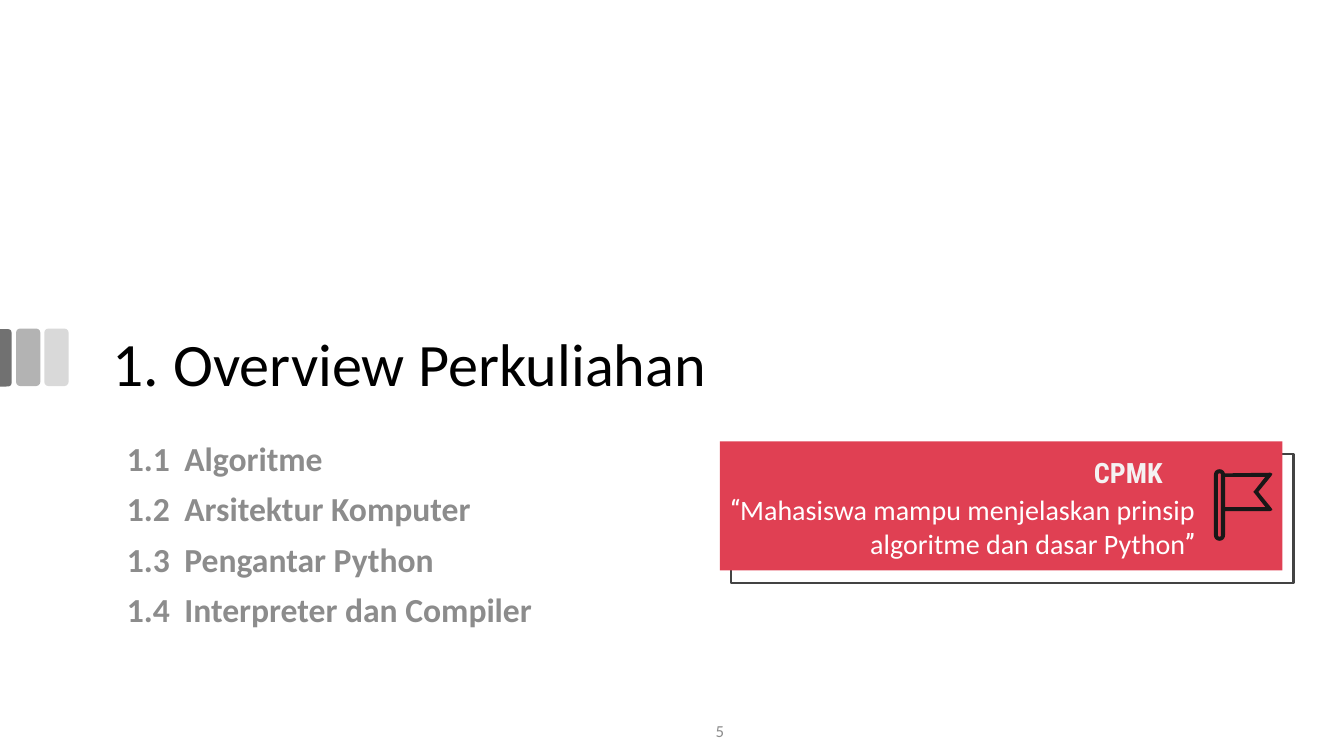
from dataclasses import dataclass
from math import cos, radians, sin

from lxml.etree import SubElement
from pptx import Presentation
from pptx.dml.color import RGBColor
from pptx.enum.shapes import MSO_SHAPE
from pptx.enum.text import MSO_ANCHOR, PP_ALIGN
from pptx.oxml.ns import qn
from pptx.shapes.autoshape import Shape
from pptx.slide import Slide
from pptx.text.text import TextFrame, _Paragraph as Paragraph
from pptx.util import Inches, Pt

BLACK = RGBColor(0x00, 0x00, 0x00)
WHITE = RGBColor(0xFF, 0xFF, 0xFF)
OFF_WHITE = RGBColor(0xF4, 0xF2, 0xF2)
GRAY = RGBColor(0x8C, 0x8C, 0x8C)
OUTLINE = RGBColor(0x43, 0x43, 0x43)
RED = RGBColor(0xE0, 0x40, 0x53)
INK = RGBColor(0x18, 0x17, 0x17)
BAR_LIGHT = RGBColor(0xD9, 0xD9, 0xD9)
BAR_MIDDLE = RGBColor(0xB3, 0xB3, 0xB3)
BAR_DARK = RGBColor(0x71, 0x71, 0x71)
BODY_FONT = "Calibri"
ACCENT_FONT = "Roboto Condensed"

Point = tuple[float, float]


@dataclass
class Box:
    left: float
    top: float
    width: float
    height: float

    def lengths(self) -> list[int]:
        return [Inches(value) for value in (self.left, self.top, self.width, self.height)]


@dataclass
class Block:
    box: Box
    kind: MSO_SHAPE = MSO_SHAPE.RECTANGLE
    fill: RGBColor | None = None
    line: RGBColor | None = None
    adjustments: tuple[float, ...] = ()
    rotation: float = 0


BARS = [
    Block(Box(0.44, 3.26, 0.24, 0.57), MSO_SHAPE.ROUNDED_RECTANGLE, BAR_LIGHT, None, (0.167,)),
    Block(Box(0.16, 3.26, 0.24, 0.57), MSO_SHAPE.ROUNDED_RECTANGLE, BAR_MIDDLE, None, (0.167,)),
    Block(Box(-0.23, 3.49, 0.57, 0.12), MSO_SHAPE.ROUND_2_SAME_RECTANGLE, BAR_DARK, None,
          (0.292, 0), 90),
]
CARD = [
    Block(Box(7.25, 4.5, 5.58, 1.28), line=OUTLINE),
    Block(Box(7.14, 4.38, 5.58, 1.28), fill=RED),
]
TOPICS = ["Algoritme", "Arsitektur Komputer", "Pengantar Python", "Interpreter dan Compiler"]


def paint(shape: Shape, fill: RGBColor | None, line: RGBColor | None) -> None:
    shape.shadow.inherit = False
    if fill is None:
        shape.fill.background()
    else:
        shape.fill.solid()
        shape.fill.fore_color.rgb = fill
    if line is None:
        shape.line.fill.background()
    else:
        shape.line.color.rgb = line
        shape.line.width = Pt(1.5)


def add_block(slide: Slide, block: Block) -> None:
    shape = slide.shapes.add_shape(block.kind, *block.box.lengths())
    for index, value in enumerate(block.adjustments):
        shape.adjustments[index] = value
    shape.rotation = block.rotation
    paint(shape, block.fill, block.line)


def add_text_frame(slide: Slide, box: Box, anchor: MSO_ANCHOR = MSO_ANCHOR.TOP,
                   inset: float = 0.05) -> TextFrame:
    frame = slide.shapes.add_textbox(*box.lengths()).text_frame
    frame.word_wrap = True
    frame.vertical_anchor = anchor
    frame.margin_top = frame.margin_bottom = Inches(inset)
    return frame


def style(paragraph: Paragraph, size: float, color: RGBColor, name: str = BODY_FONT,
          bold: bool = False, align: PP_ALIGN = PP_ALIGN.LEFT) -> None:
    paragraph.alignment = align
    font = paragraph.font
    font.size, font.name, font.bold = Pt(size), name, bold
    font.color.rgb = color


def set_hanging_indent(paragraph: Paragraph, indent: float) -> None:
    properties = paragraph._p.get_or_add_pPr()
    properties.set("marL", str(Inches(indent)))
    properties.set("indent", str(-Inches(indent)))
    tabs = SubElement(properties, qn("a:tabLst"))
    SubElement(tabs, qn("a:tab"), pos=str(Inches(indent)), algn="l")


def arc(center: Point, radius: float, start: int, end: int) -> list[Point]:
    step = 15 if end > start else -15
    return [(center[0] + radius * cos(radians(angle)), center[1] + radius * sin(radians(angle)))
            for angle in range(start, end + step, step)]


def add_flag(slide: Slide) -> None:
    top, bottom = (12.095, 4.71), (12.095, 5.31)
    outer = [*arc(top, 0.055, 180, 345), (12.6, 4.69), (12.62, 4.7), (12.61, 4.72),
             (12.48, 4.88), (12.61, 5.04), (12.62, 5.06), (12.6, 5.07), (12.15, 5.07),
             *arc(bottom, 0.055, 0, 180)]
    pole_hole = [*arc(top, 0.015, 180, 360), *arc(bottom, 0.015, 0, 180)]
    cloth_hole = [(12.55, 4.73), (12.44, 4.87), (12.43, 4.88), (12.44, 4.89),
                  (12.55, 5.03), (12.15, 5.03), (12.15, 4.73)]
    builder = slide.shapes.build_freeform(*outer[0], scale=Inches(1))
    # Coordinates are whole thousandths of an inch
    builder = slide.shapes.build_freeform(
        *(round(value * 1000) for value in outer[0]), scale=Inches(1) / 1000)
    for index, contour in enumerate((outer, pole_hole, cloth_hole)):
        points = [(round(x * 1000), round(y * 1000)) for x, y in contour]
        if index:
            builder.move_to(*points[0])
        builder.add_line_segments(points[1:], close=True)
    paint(builder.convert_to_shape(), INK, None)


def main() -> None:
    presentation = Presentation()
    presentation.slide_width, presentation.slide_height = Inches(13.33), Inches(7.5)
    slide = presentation.slides.add_slide(presentation.slide_layouts[6])

    # Bars at the left edge
    for bar in BARS:
        add_block(slide, bar)

    # Title
    title = add_text_frame(slide, Box(1.02, 3.02, 11.5, 1), MSO_ANCHOR.BOTTOM).paragraphs[0]
    title.line_spacing = 0.9
    for text, size in (("1. ", 44), ("Overview Perkuliahan", 43)):
        run = title.add_run()
        run.text = text
        run.font.size = Pt(size)
    style(title, 43, BLACK)

    # Topic list
    topics = add_text_frame(slide, Box(1.16, 4.34, 7.59, 2.17))
    for index, topic in enumerate(TOPICS):
        paragraph = topics.add_paragraph() if index else topics.paragraphs[0]
        paragraph.text = f"1.{index + 1}\t{topic}"
        paragraph.line_spacing = 0.9
        if index:
            paragraph.space_before = Pt(10)
        set_hanging_indent(paragraph, 0.57)
        style(paragraph, 24, GRAY, bold=True)

    # Learning outcome card
    for block in CARD:
        add_block(slide, block)
    outcome = add_text_frame(slide, Box(7.12, 4.79, 4.83, 0.86), inset=0.1).paragraphs[0]
    for text, name in (
        ("“", ACCENT_FONT),
        ("Mahasiswa mampu menjelaskan prinsip algoritme dan dasar Python", BODY_FONT),
        ("”", ACCENT_FONT),
    ):
        run = outcome.add_run()
        run.text = text
        run.font.name = name
    style(outcome, 20, WHITE, align=PP_ALIGN.RIGHT)
    heading = add_text_frame(slide, Box(8.12, 4.34, 3.51, 0.61), MSO_ANCHOR.BOTTOM, 0.1).paragraphs[0]
    heading.text = "CPMK"
    style(heading, 20, OFF_WHITE, ACCENT_FONT, True, PP_ALIGN.RIGHT)
    add_flag(slide)

    # Slide number
    number = add_text_frame(slide, Box(5.64, 7.05, 3, 0.4), MSO_ANCHOR.MIDDLE).paragraphs[0]
    number.text = "5"
    style(number, 12, GRAY, align=PP_ALIGN.CENTER)

    presentation.save("out.pptx")


if __name__ == "__main__":
    main()
